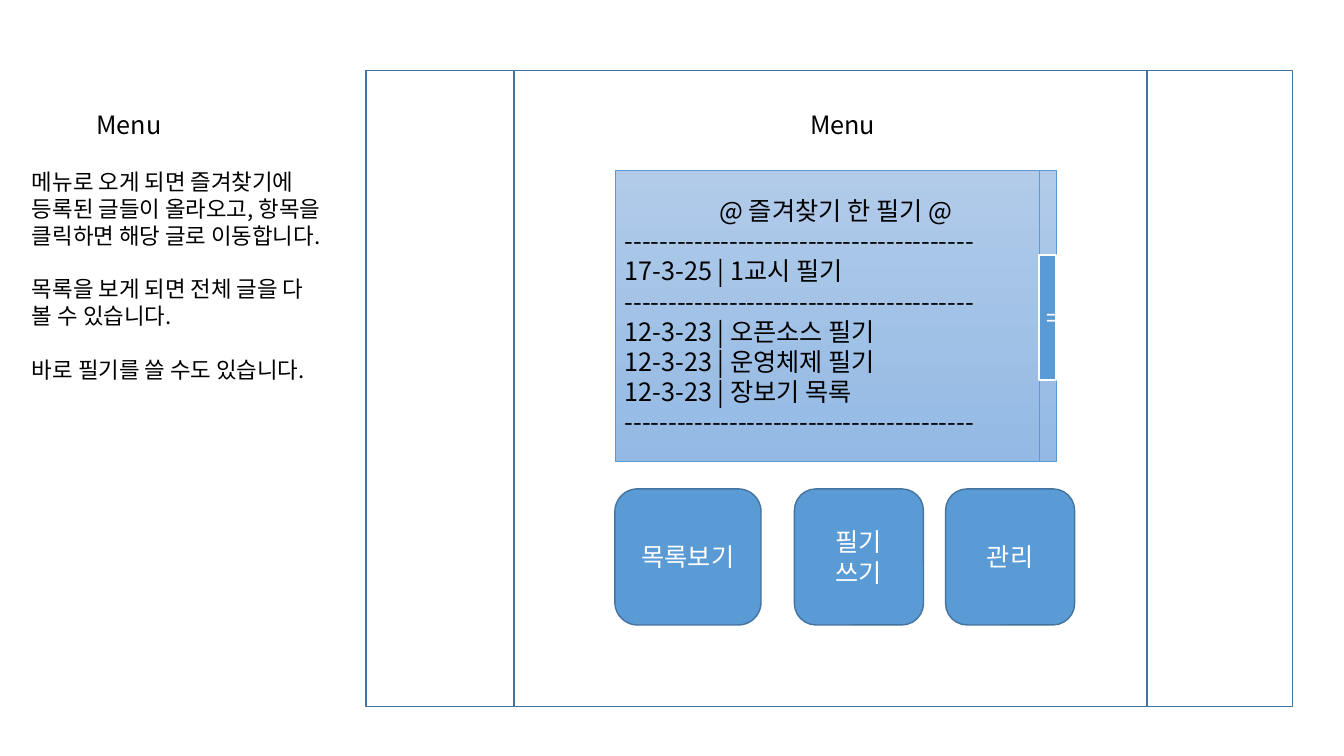
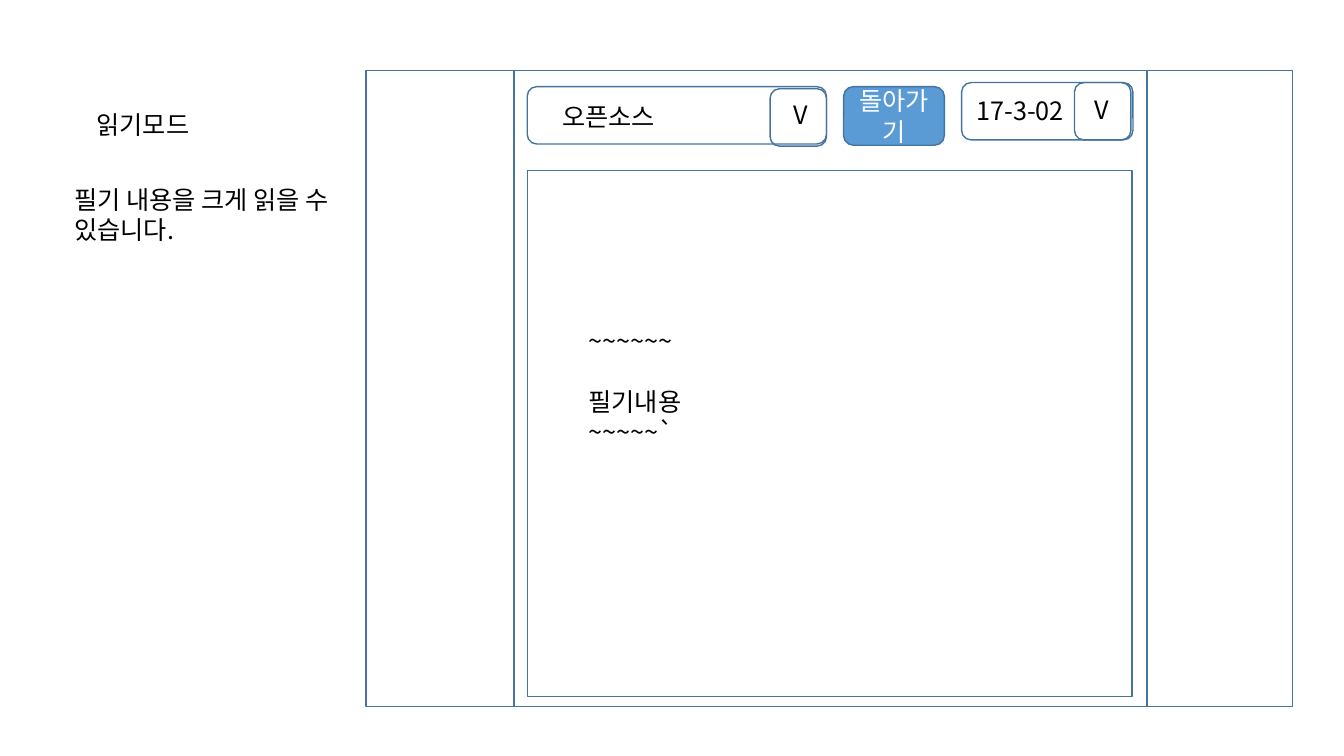
from lxml import etree
from pptx import Presentation
from pptx.dml.color import RGBColor
from pptx.enum.shapes import MSO_SHAPE
from pptx.enum.text import MSO_ANCHOR, PP_ALIGN
from pptx.oxml.ns import qn
from pptx.util import Pt

FONT = "Noto Sans CJK KR"
BLACK, WHITE = "000000", "FFFFFF"
BLUE, EDGE = "5B9BD5", "43739E"
PANEL_BLUES = ("B1CBE9", "93B9E4")
LINE_RATIO = 1.2

# Each paragraph is its text; a None marks a one-line gap above the next one.
MENU_TITLE, READ_TITLE = "Menu", "읽기모드"
MENU_NOTES = [
    "메뉴로 오게 되면 즐겨찾기에",
    "등록된 글들이 올라오고, 항목을",
    "클릭하면 해당 글로 이동합니다.",
    None,
    "목록을 보게 되면 전체 글을 다",
    "볼 수 있습니다.",
    None,
    "바로 필기를 쓸 수도 있습니다.",
]
READ_NOTES = ["필기 내용을 크게 읽을 수 있습니다."]
DIVIDER = "-" * 40
FAVOURITES_HEADING = "@ 즐겨찾기 한 필기 @"
FAVOURITES = [
    DIVIDER,
    "17-3-25 | 1교시 필기",
    DIVIDER,
    "12-3-23 | 오픈소스 필기",
    "12-3-23 | 운영체제 필기",
    "12-3-23 | 장보기 목록",
    DIVIDER,
]
# Button text, left, width
MENU_BUTTONS = [("목록보기", 439.2, 104.4), ("필기 쓰기", 567.4, 92.2), ("관리", 675.4, 92.2)]
NOTE_BODY = ["~~~~~~", None, "필기내용", "~~~~~`"]
BACK = "돌아가기"
# Text and its place, field box, arrow box, place of the arrow letter
SELECTORS = [
    ("오픈소스", (394.6, 69.1, 87.1, 28.8), (376.6, 61.9, 213.8, 41),
     (550.1, 63.4, 40.3, 41), (559.4, 67.7, 25.9, 28.8)),
    ("17-3-02", (690.5, 64.8, 79.2, 28.8), (686.9, 59, 122.4, 41),
     (767.5, 59, 40.3, 41), (774.7, 64.1, 25.9, 28.8)),
]

TITLE_LEFT, TITLE_TOP, TITLE_HEIGHT = 61.9, 74.9, 28.8
SCREEN_TOP, SCREEN_HEIGHT = 50.4, 454.3
SCREEN_COLUMNS = [(261.4, 661.7), (367.2, 452.2)]  # left, width
CONTENT_TOP = 121.7
PANEL_LEFT, PANEL_WIDTH, PANEL_HEIGHT = 439.2, 315.4, 208.1
SCROLL_WIDTH = 12.2
BUTTON_TOP, BUTTON_HEIGHT = 349.2, 97.2


def rgb(colour):
    """Turn a hex string into a colour."""
    return RGBColor.from_string(colour)


def add_lines(frame, lines, colour, size=18, align=PP_ALIGN.LEFT):
    """Write the lines into a frame, turning each None into space above."""
    paragraph, gap = None, 0
    for line in lines:
        if line is None:
            gap += size * LINE_RATIO
            continue
        paragraph = frame.add_paragraph() if paragraph is not None else frame.paragraphs[0]
        paragraph.alignment = align
        paragraph.line_spacing = Pt(size * LINE_RATIO)
        paragraph.space_before = Pt(gap)
        gap = 0
        run = paragraph.add_run()
        run.text = line
        run.font.name, run.font.size = FONT, Pt(size)
        run.font.color.rgb = rgb(colour)
        east_asian = etree.SubElement(run.font._element, qn("a:ea"))
        east_asian.set("typeface", FONT)


def add_label(slide, box, lines, size=18, wrap=False):
    """Add a black text box."""
    frame = slide.shapes.add_textbox(*map(Pt, box)).text_frame
    frame.word_wrap = wrap
    add_lines(frame, lines, BLACK, size)


def add_box(slide, box, fill=None, edge=EDGE, weight=1, rounded=False, text=None):
    """Add an outlined box; a pair of fill colours gives a downward gradient."""
    kind = MSO_SHAPE.ROUNDED_RECTANGLE if rounded else MSO_SHAPE.RECTANGLE
    shape = slide.shapes.add_shape(kind, *map(Pt, box))
    shape.shadow.inherit = False
    shape.line.color.rgb = rgb(edge)
    shape.line.width = Pt(weight)
    if fill is None:
        shape.fill.background()
    elif isinstance(fill, tuple):
        shape.fill.gradient()
        shape.fill.gradient_angle = 270
        for stop, colour, position in zip(shape.fill.gradient_stops, fill, (0, 1)):
            stop.color.rgb = rgb(colour)
            stop.position = position
    else:
        shape.fill.solid()
        shape.fill.fore_color.rgb = rgb(fill)
    shape.text_frame.word_wrap = True
    shape.text_frame.vertical_anchor = MSO_ANCHOR.MIDDLE
    if text:
        add_lines(shape.text_frame, [text], WHITE, align=PP_ALIGN.CENTER)
    return shape


def add_screen(deck, title, title_width):
    """Start a slide with its title and the framed app screen."""
    slide = deck.slides.add_slide(deck.slide_layouts[6])
    add_label(slide, (TITLE_LEFT, TITLE_TOP, title_width, TITLE_HEIGHT), [title])
    for left, width in SCREEN_COLUMNS:
        add_box(slide, (left, SCREEN_TOP, width, SCREEN_HEIGHT))
    return slide


def build_menu(deck):
    """Build the menu slide: favourites panel, scroll bar and buttons."""
    slide = add_screen(deck, MENU_TITLE, 61.9)
    add_label(slide, (571.7, TITLE_TOP, 61.9, TITLE_HEIGHT), [MENU_TITLE])
    panel = add_box(slide, (PANEL_LEFT, CONTENT_TOP, PANEL_WIDTH, PANEL_HEIGHT),
                    PANEL_BLUES, BLUE, 0.5)
    add_lines(panel.text_frame, [FAVOURITES_HEADING, *FAVOURITES], BLACK)
    panel.text_frame.paragraphs[0].alignment = PP_ALIGN.CENTER
    scroll_left = PANEL_LEFT + PANEL_WIDTH - SCROLL_WIDTH
    add_box(slide, (scroll_left, CONTENT_TOP, SCROLL_WIDTH, PANEL_HEIGHT),
            PANEL_BLUES, BLUE, 0.5)
    add_box(slide, (scroll_left, 182.2, SCROLL_WIDTH, 89.3), BLUE, WHITE, 1.5, text="=")
    add_label(slide, (15.8, 116.6, 244.8, 162.7), MENU_NOTES, size=16, wrap=True)
    for text, left, width in MENU_BUTTONS:
        add_box(slide, (left, BUTTON_TOP, width, BUTTON_HEIGHT), BLUE,
                rounded=True, text=text)


def build_reader(deck):
    """Build the reading slide: selectors, back button and note area."""
    slide = add_screen(deck, READ_TITLE, 87.1)
    add_box(slide, (376.6, CONTENT_TOP, 432, 375.8))
    for text, text_box, field, arrow, letter in SELECTORS:
        add_box(slide, field, rounded=True)
        add_box(slide, arrow, rounded=True)
        add_label(slide, letter, ["V"])
        add_label(slide, text_box, [text])
    add_label(slide, (413.3, 229, 90.7, 94.3), NOTE_BODY, wrap=True)
    add_label(slide, (46.1, 128.2, 208.8, 51.1), READ_NOTES, wrap=True)
    add_box(slide, (602.6, 61.9, 72, 41.8), BLUE, rounded=True, text=BACK)


deck = Presentation()
deck.slide_width, deck.slide_height = Pt(960), Pt(540)
build_menu(deck)
build_reader(deck)
deck.save("out.pptx")
